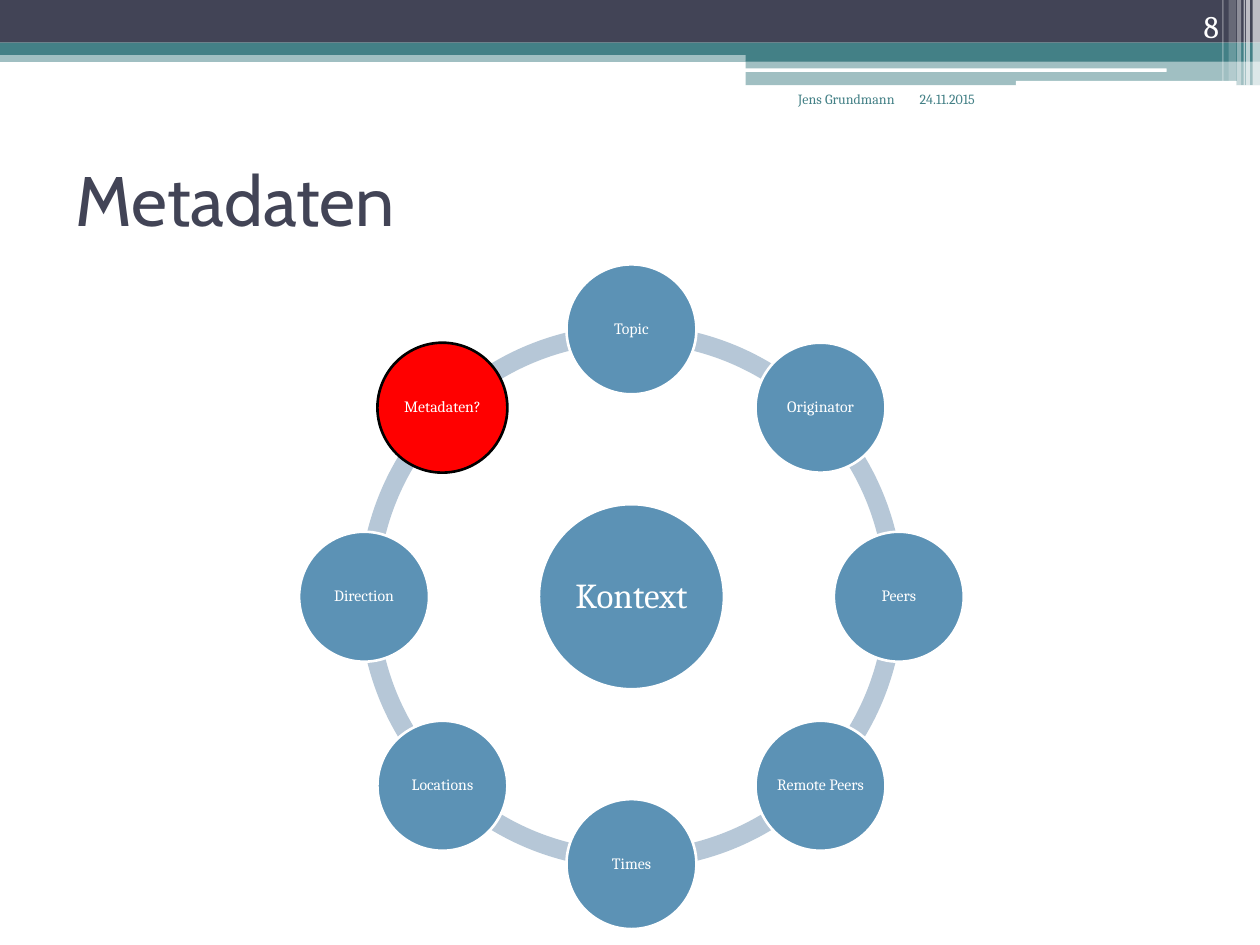
"""Build the slide "Metadaten": a ring of context items around a centre."""
import math

from lxml import etree
from pptx import Presentation
from pptx.dml.color import RGBColor
from pptx.enum.shapes import MSO_SHAPE
from pptx.enum.text import MSO_ANCHOR, PP_ALIGN
from pptx.oxml.ns import qn
from pptx.util import Cm, Pt

RECTANGLE, ROUNDED = MSO_SHAPE.RECTANGLE, MSO_SHAPE.ROUNDED_RECTANGLE
OVAL, BLOCK_ARC = MSO_SHAPE.OVAL, MSO_SHAPE.BLOCK_ARC
LEFT, CENTER, RIGHT = PP_ALIGN.LEFT, PP_ALIGN.CENTER, PP_ALIGN.RIGHT
TOP, MIDDLE, BOTTOM = MSO_ANCHOR.TOP, MSO_ANCHOR.MIDDLE, MSO_ANCHOR.BOTTOM

DARK = RGBColor(0x42, 0x44, 0x56)
TEAL = RGBColor(0x43, 0x80, 0x86)
BLUE = RGBColor(0x5C, 0x92, 0xB5)
PALE_BLUE = RGBColor(0xB6, 0xC7, 0xD7)
RED = RGBColor(0xFF, 0x00, 0x00)
BLACK = RGBColor(0x00, 0x00, 0x00)
WHITE = RGBColor(0xFF, 0xFF, 0xFF)

CENTER_X, CENTER_Y = 12.73, 12.03
ORBIT_RADIUS = 5.39
RING_SIZE = 10.97
ITEM_SIZE = 2.62
HUB_SIZE = 3.73

presentation = Presentation()
presentation.slide_width, presentation.slide_height = Cm(25.4), Cm(19.05)
slide = presentation.slides.add_slide(presentation.slide_layouts[5])


def add_filled(kind, left, top, width, height, color, opacity=100):
    shape = slide.shapes.add_shape(kind, Cm(left), Cm(top), Cm(width), Cm(height))
    shape.shadow.inherit = False
    shape.fill.solid()
    shape.fill.fore_color.rgb = color
    shape.line.fill.background()
    if opacity < 100:
        fill_color = shape.fill._xPr.find(qn("a:solidFill"))[0]
        etree.SubElement(fill_color, qn("a:alpha"), val=str(opacity * 1000))
    return shape


def write_text(shape, text, size, color, alignment, anchor, font="Cambria"):
    shape.text_frame.text = text
    shape.text_frame.vertical_anchor = anchor
    paragraph = shape.text_frame.paragraphs[0]
    paragraph.alignment = alignment
    run_font = paragraph.runs[0].font
    run_font.name, run_font.size, run_font.color.rgb = font, Pt(size), color


header_bands = [
    (RECTANGLE, 0, 1.02, 25.4, 0.23, TEAL, 50),
    (RECTANGLE, 0, 0, 25.4, 0.86, DARK, 100),
    (RECTANGLE, 0, 0.86, 25.4, 0.25, TEAL, 100),
    (RECTANGLE, 15.03, 0.99, 10.37, 0.25, TEAL, 100),
    (RECTANGLE, 15.03, 1.22, 10.37, 0.5, TEAL, 50),
    (ROUNDED, 15.01, 1.38, 8.51, 0.07, WHITE, 100),
    (ROUNDED, 20.48, 1.63, 4.45, 0.1, WHITE, 100),
]
for band in header_bands:
    add_filled(*band)

edge_stripes = [
    (25.25, 0.15, 1.73, 65),
    (25.12, 0.08, 1.73, 65),
    (25.07, 0.03, 1.73, 60),
    (24.94, 0.08, 1.73, 40),
    (24.77, 0.15, 1.63, 20),
    (24.64, 0.03, 1.63, 30),
]
for left, width, height, opacity in edge_stripes:
    add_filled(RECTANGLE, left, 0, width, height, WHITE, opacity)

title = slide.shapes.title
title.left, title.top, title.width, title.height = Cm(1.27), Cm(2.51), Cm(22.86), Cm(2.97)
write_text(title, "Metadaten", 40, DARK, LEFT, MIDDLE, "Cabin")

items = ["Topic", "Originator", "Peers", "Remote Peers",
         "Times", "Locations", "Direction", "Metadaten?"]
step = 360 / len(items)

for index in range(len(items)):
    arc = add_filled(BLOCK_ARC, CENTER_X - RING_SIZE / 2, CENTER_Y - RING_SIZE / 2,
                     RING_SIZE, RING_SIZE, PALE_BLUE)
    arc.adjustments[0] = index * step * 0.6
    arc.adjustments[1] = (index + 1) * step % 360 * 0.6
    arc.adjustments[2] = 0.034

circles = [("Kontext", CENTER_X, CENTER_Y, HUB_SIZE, 20)]
for index, item in enumerate(items):
    angle = math.radians(index * step - 90)
    circles.append((item, CENTER_X + ORBIT_RADIUS * math.cos(angle),
                    CENTER_Y + ORBIT_RADIUS * math.sin(angle), ITEM_SIZE, 9))

for text, x, y, size, font_size in circles:
    highlighted = text == "Metadaten?"
    circle = add_filled(OVAL, x - size / 2, y - size / 2, size, size,
                        RED if highlighted else BLUE)
    circle.line.color.rgb = BLACK if highlighted else WHITE
    circle.line.width = Pt(1.5)
    write_text(circle, text, font_size, WHITE, CENTER, MIDDLE)
    frame = circle.text_frame
    frame.word_wrap = False
    frame.margin_left = frame.margin_right = frame.margin_top = frame.margin_bottom = Cm(0.03)
    frame.paragraphs[0].line_spacing = 0.9

footer_texts = [
    ("24.11.2015", 18.29, 1.7, 2.67, 1.27, 8, TEAL, LEFT, TOP),
    ("Jens Grundmann", 14.6, 1.7, 3.69, 1.27, 8, TEAL, RIGHT, TOP),
    ("8", 22.71, 0, 2.11, 1.02, 18, WHITE, RIGHT, BOTTOM),
]
for text, left, top, width, height, size, color, alignment, anchor in footer_texts:
    box = slide.shapes.add_textbox(Cm(left), Cm(top), Cm(width), Cm(height))
    box.text_frame.word_wrap = True
    write_text(box, text, size, color, alignment, anchor)

presentation.save("out.pptx")
